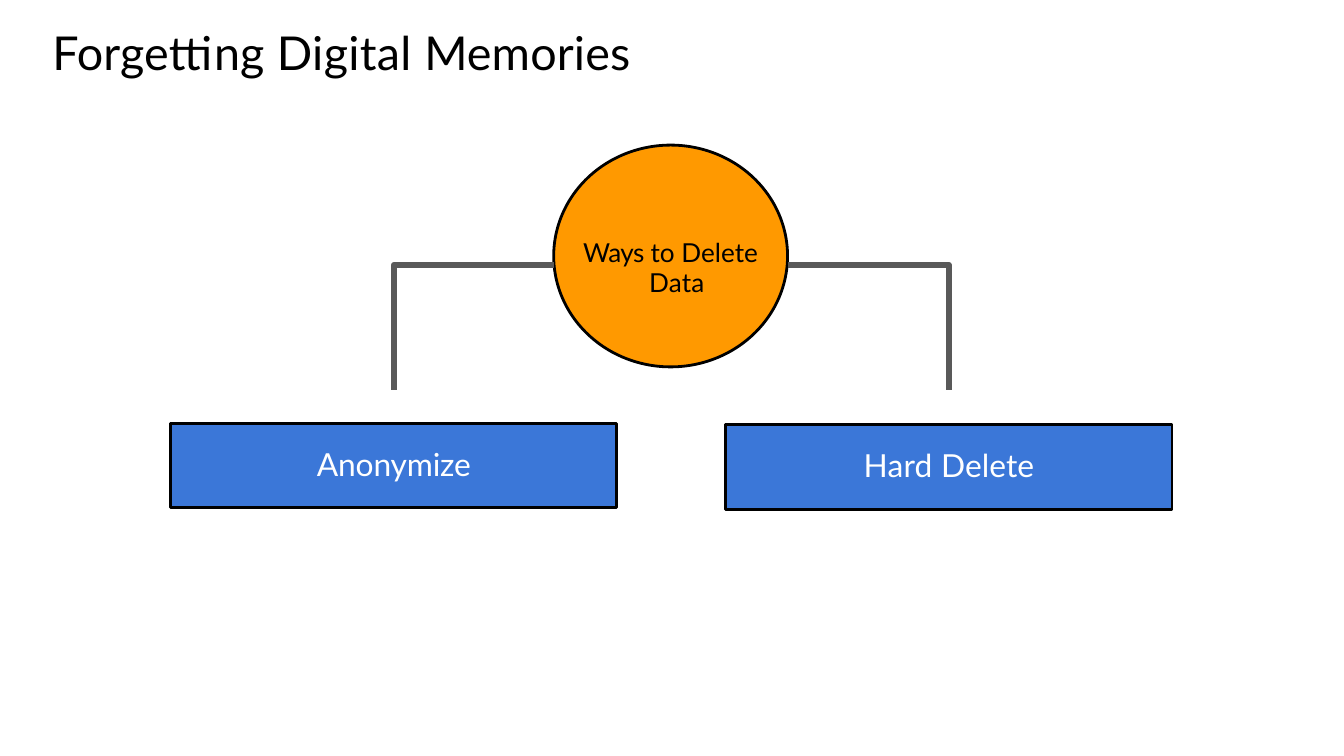
"""Build a slide showing two ways to delete data."""
from pptx import Presentation
from pptx.dml.color import RGBColor
from pptx.enum import shapes, text
from pptx.util import Inches, Pt

COLORS = {"ink": "000000", "paper": "FFFFFF", "topic": "FF9900",
          "option": "3B77D8", "bracket": "595959"}
FONT = "Lato"
TITLE = [("Forgetting ", 0.1), ("Digital ", 0.2), ("Memories", 0.1)]
TOPIC = [("Ways ", -0.3), ("to Delete ", 0), ("Data", 0.1)]
OPTIONS = [([("Anonymize", -0.1)], 1.27, 3.15),
           ([("Hard ", 0.1), ("Delete", 0)], 5.4, 3.16)]
OPTION_SIZE = (3.32, 0.63)
CIRCLE = (4.12, 1.08, 1.74, 1.65)
BRACKET_TOP, BRACKET_BOTTOM = 1.97, 2.9


def rgb(name):
    return RGBColor.from_string(COLORS[name])


def write(shape, spans, size, color, align, top):
    frame = shape.text_frame
    frame.word_wrap = True
    frame.auto_size = text.MSO_AUTO_SIZE.NONE
    frame.vertical_anchor = text.MSO_ANCHOR.TOP
    frame.margin_left = frame.margin_right = frame.margin_bottom = 0
    frame.margin_top = Inches(top)
    para = frame.paragraphs[0]
    para.alignment = align
    for words, spacing in spans:
        span = para.add_run()
        span.text = words
        span.font.name = FONT
        span.font.size = Pt(size)
        span.font.color.rgb = rgb(color)
        span._r.get_or_add_rPr().set("spc", str(round(spacing * 100)))
    return para


def outline(shape, color, width):
    shape.shadow.inherit = False
    shape.line.color.rgb = rgb(color)
    shape.line.width = Pt(width)


def add_filled(page, kind, bounds, color):
    shape = page.shapes.add_shape(kind, *map(Inches, bounds))
    shape.fill.solid()
    shape.fill.fore_color.rgb = rgb(color)
    outline(shape, "ink", 1.5)
    return shape


def add_bracket(page, start, end):
    points = [(start, BRACKET_TOP), (end, BRACKET_TOP), (end, BRACKET_BOTTOM)]
    corners = [(Inches(x), Inches(y)) for x, y in points]
    builder = page.shapes.build_freeform(*corners[0])
    builder.add_line_segments(corners[1:], close=False)
    bracket = builder.convert_to_shape()
    bracket.fill.background()
    outline(bracket, "bracket", 3)


def main():
    deck = Presentation()
    deck.slide_width = Inches(10)
    deck.slide_height = deck.slide_width * 9 // 16
    page = deck.slides.add_slide(deck.slide_layouts[5])
    align = text.PP_ALIGN

    title = page.shapes.title
    title.left, title.top, title.width, title.height = map(
        Inches, (0.39, 0.16, 4.6, 0.45))
    write(title, TITLE, 25, "ink", align.LEFT, 0.02)

    add_filled(page, shapes.MSO_SHAPE.OVAL, CIRCLE, "topic")
    label = page.shapes.add_textbox(*map(Inches, (4.33, 1.73, 1.33, 0.49)))
    para = write(label, TOPIC, 14, "ink", align.LEFT, 0.03)
    para.line_spacing = Pt(16.5)
    indents = para._p.get_or_add_pPr()
    indents.set("marL", str(Inches(0.5)))
    indents.set("indent", str(Inches(-0.49)))

    circle_sides = (CIRCLE[0], CIRCLE[0] + CIRCLE[2])
    for (name, left, top), side in zip(OPTIONS, circle_sides):
        box = add_filled(page, shapes.MSO_SHAPE.RECTANGLE,
                         (left, top, *OPTION_SIZE), "option")
        write(box, name, 17, "paper", align.CENTER, 0.16)
        add_bracket(page, side, left + OPTION_SIZE[0] / 2)

    deck.save("out.pptx")


if __name__ == "__main__":
    main()
